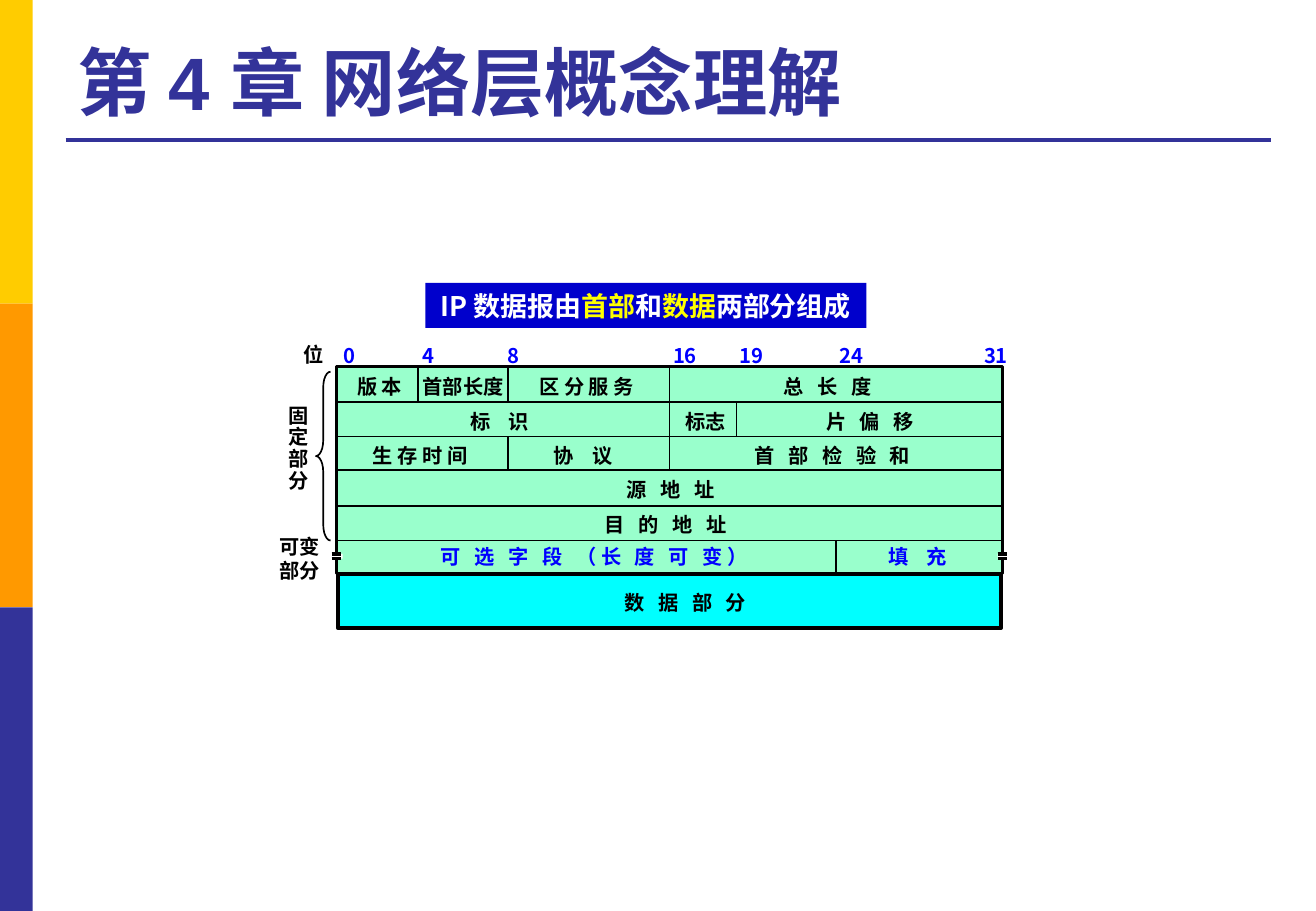
"""Build the slide that shows the layout of an IP datagram."""
from lxml.etree import SubElement
from pptx import Presentation
from pptx.dml.color import RGBColor
from pptx.enum.shapes import MSO_CONNECTOR, MSO_SHAPE as SHAPE
from pptx.enum.text import MSO_ANCHOR, MSO_AUTO_SIZE, PP_ALIGN
from pptx.oxml.ns import qn
from pptx.util import Inches, Pt

BLACK = RGBColor(0x00, 0x00, 0x00)
WHITE = RGBColor(0xFF, 0xFF, 0xFF)
GOLD = RGBColor(0xFF, 0xCC, 0x00)
ORANGE = RGBColor(0xFF, 0x99, 0x00)
INDIGO = RGBColor(0x33, 0x33, 0x99)
BLUE = RGBColor(0x00, 0x00, 0xFF)
NAVY = RGBColor(0x00, 0x00, 0xCC)
YELLOW = RGBColor(0xFF, 0xFF, 0x00)
MINT = RGBColor(0x99, 0xFF, 0xCC)
CYAN = RGBColor(0x00, 0xFF, 0xFF)
CJK = "Noto Sans CJK SC"

prs = Presentation()
prs.slide_width, prs.slide_height = Inches(10.83), Inches(7.5)
slide = prs.slides.add_slide(prs.slide_layouts[6])


def draw(kind, left, top, width, height, fill=None, line=None, weight=1):
    """Add a preset shape, or a straight line when kind is None."""
    if kind is None:
        shape = slide.shapes.add_connector(
            MSO_CONNECTOR.STRAIGHT, Inches(left), Inches(top),
            Inches(left + width), Inches(top + height))
        SubElement(shape._element.spPr, qn("a:effectLst"))
    else:
        shape = slide.shapes.add_shape(
            kind, Inches(left), Inches(top), Inches(width), Inches(height))
        shape.shadow.inherit = False
        if fill is None:
            shape.fill.background()
        else:
            shape.fill.solid()
            shape.fill.fore_color.rgb = fill
    if line is None:
        shape.line.fill.background()
    else:
        shape.line.color.rgb = line
        shape.line.width = Pt(weight)
    return shape


def write(left, top, width, height, lines, color=BLACK, size=12, font=CJK,
          tracking=0):
    """Add a text box with one paragraph for each line; tracking is in points."""
    box = slide.shapes.add_textbox(
        Inches(left), Inches(top), Inches(width), Inches(height))
    frame = box.text_frame
    frame.word_wrap = False
    frame.auto_size = MSO_AUTO_SIZE.SHAPE_TO_FIT_TEXT
    frame.text = lines
    for paragraph in frame.paragraphs:
        for run in paragraph.runs:
            run.font.size, run.font.bold, run.font.name = Pt(size), True, font
            run.font.color.rgb = color
            properties = run.font._element
            SubElement(properties, qn("a:ea")).set("typeface", CJK)
            if tracking:
                properties.set("spc", str(round(tracking * 100)))
    return frame


for i, band_color in enumerate((GOLD, ORANGE, INDIGO)):
    draw(SHAPE.RECTANGLE, 0, 2.5 * i, 0.27, 2.5, band_color)
draw(None, 0.54, 1.15, 9.92, 0, line=INDIGO, weight=2.25)
title = write(0.54, 0.21, 9.91, 0.87, "第 4 章 网络层概念理解", INDIGO, 44, "Arial")
title.auto_size = MSO_AUTO_SIZE.NONE
title.word_wrap = True
title.vertical_anchor = MSO_ANCHOR.BOTTOM

header = draw(SHAPE.RECTANGLE, 2.77, 3.02, 5.48, 1.7, MINT, BLACK, 2)
draw(SHAPE.RECTANGLE, 2.78, 4.73, 5.46, 0.44, CYAN, BLACK, 2.25)

row_lines = [draw(None, 2.77, 3.31 + 0.285 * i, 5.49, 0, line=BLACK) for i in range(5)]
row_lines[2].begin_connect(header, 1)
row_lines[2].end_connect(header, 3)

for x, top, bottom in ((3.44, 3.03, 3.31), (4.18, 3.03, 3.31), (4.18, 3.6, 3.88),
                       (6.88, 4.45, 4.73), (6.06, 3.32, 3.6)):
    draw(None, x, top, 0, bottom - top, line=BLACK)
half_line = draw(None, 5.51, 3.02, 0, 0.86, line=BLACK)
half_line.begin_connect(header, 0)

write(2.4, 2.77, 0.37, 0.3, "位")
for bit, x in ((0, 2.73), (4, 3.38), (8, 4.08), (16, 5.44), (19, 5.99),
               (24, 6.81), (31, 8)):
    write(x, 2.78, 0.3 if bit < 10 else 0.41, 0.3, str(bit), BLUE)

fields = (
    (2.84, 3.03, 0.59, "版 本", 0, BLACK),
    (3.38, 3.03, 0.87, "首部长度", 0, BLACK),
    (4.34, 3.03, 1.03, "区 分 服 务", 0, BLACK),
    (6.35, 3.03, 1.01, "总 长 度", 2.7, BLACK),
    (3.77, 3.32, 0.74, "标 识", 4.1, BLACK),
    (5.54, 3.32, 0.54, "标志", 0, BLACK),
    (6.7, 3.32, 1.01, "片 偏 移", 2.7, BLACK),
    (2.97, 3.6, 1.03, "生 存 时 间", 0, BLACK),
    (4.46, 3.6, 0.74, "协 议", 4.1, BLACK),
    (6.11, 3.6, 1.65, "首 部 检 验 和", 2.7, BLACK),
    (5.06, 3.88, 1.01, "源 地 址", 2.7, BLACK),
    (4.88, 4.17, 1.33, "目 的 地 址", 2.7, BLACK),
    (3.53, 4.43, 2.9, "可 选 字 段 （长 度 可 变）", 2.7, BLUE),
    (7.21, 4.43, 0.74, "填 充", 4.1, BLUE),
    (5.04, 4.81, 1.33, "数 据 部 分", 2.7, BLACK),
)
for left, top, width, field, tracking, color in fields:
    write(left, top, width, 0.3, field, color, tracking=tracking)

fixed_part = write(2.28, 3.29, 0.37, 0.83, "固\n定\n部\n分")
for paragraph in fixed_part.paragraphs:
    paragraph.line_spacing = 0.9
write(2.2, 4.35, 0.54, 0.5, "可变\n部分")
brace = draw(SHAPE.LEFT_BRACE, 2.6, 3.06, 0.12, 1.39, line=BLACK)
brace.adjustments[0], brace.adjustments[1] = 1.08, 0.5

for x in (2.73, 8.21):
    draw(SHAPE.RECTANGLE, x, 4.56, 0.09, 0.04, WHITE)
    for y in (4.56, 4.6):
        draw(None, x, y, 0.08, 0, line=BLACK, weight=2)

banner = draw(SHAPE.RECTANGLE, 3.5, 2.33, 3.63, 0.37, NAVY).text_frame
banner.word_wrap = False
banner.vertical_anchor = MSO_ANCHOR.MIDDLE
summary = banner.paragraphs[0]
summary.alignment = PP_ALIGN.CENTER
for words, color in (("IP 数据报由", WHITE), ("首部", YELLOW), ("和", WHITE),
                     ("数据", YELLOW), ("两部分组成", WHITE)):
    run = summary.add_run()
    run.text = words
    run.font.size, run.font.bold, run.font.name = Pt(16), True, CJK
    run.font.color.rgb = color
    SubElement(run.font._element, qn("a:ea")).set("typeface", CJK)

prs.save("out.pptx")
